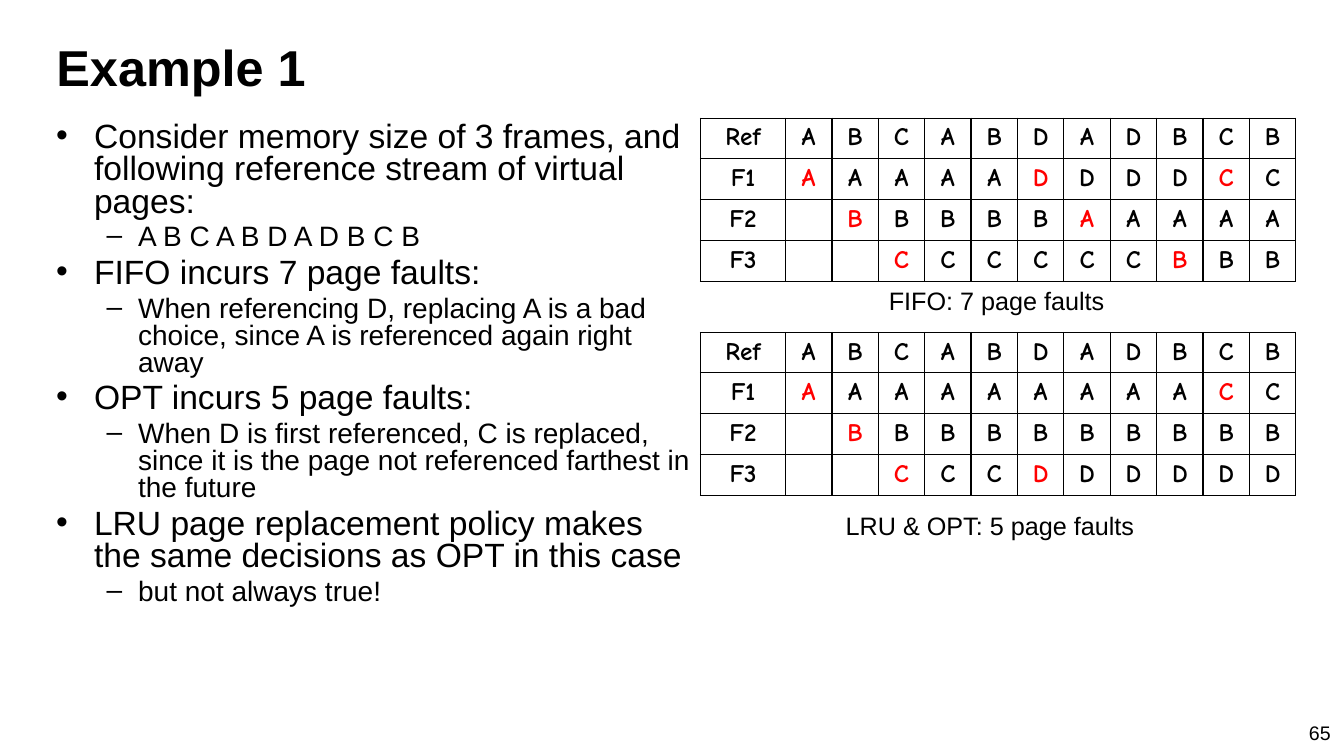
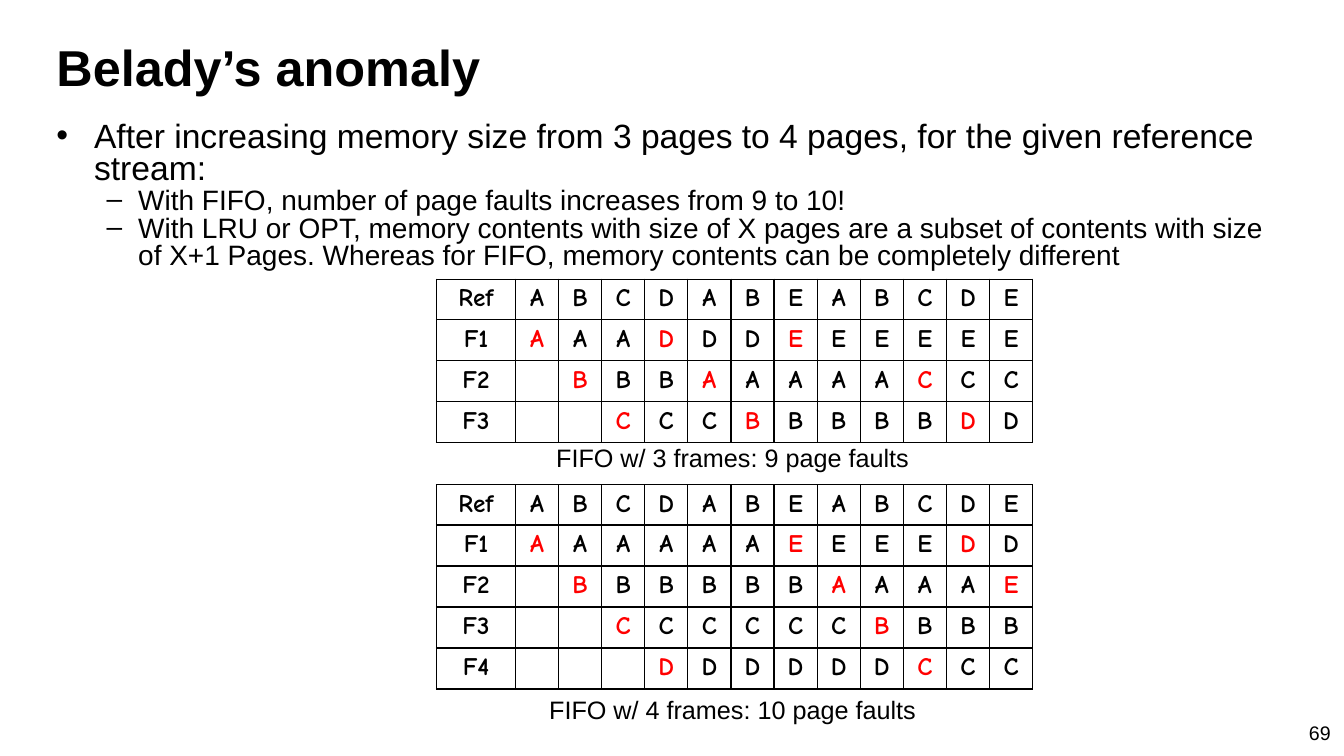
from dataclasses import dataclass

from pptx import Presentation
from pptx.dml.color import RGBColor
from pptx.enum.text import MSO_ANCHOR, PP_ALIGN
from pptx.oxml.ns import qn
from pptx.util import Pt
from lxml.etree import SubElement


@dataclass(frozen=True)
class Theme:
    ink: str = "000000"
    fault: str = "FF0000"
    face: str = "Arial"
    hand: str = "Comic Neue"
    title: int = 36
    body: tuple = (24, 20)
    note: int = 18
    page: int = 14
    marks: tuple = ("•", "–")
    margins: tuple = (27, 58.5)
    hangs: tuple = (-27, -22.5)
    left: float = 33.1
    width: float = 893


class Deck:
    def __init__(self, theme):
        self.theme = theme
        self.prs = Presentation()
        self.prs.slide_width, self.prs.slide_height = Pt(960), Pt(540)

    def style(self, para, size, face=None, color=None, bold=False):
        font = para.font
        font.name = face or self.theme.face
        font.size, font.bold = Pt(size), bold
        font.color.rgb = RGBColor.from_string(color or self.theme.ink)

    def slide(self, title, page):
        look = self.theme
        self.now = self.prs.slides.add_slide(self.prs.slide_layouts[5])
        head = self.now.shapes.title
        head.left, head.top = Pt(look.left), Pt(21.6)
        head.width, head.height = Pt(look.width), Pt(51)
        frame = head.text_frame
        frame.text = title
        frame.vertical_anchor = MSO_ANCHOR.BOTTOM
        para = frame.paragraphs[0]
        para.alignment = PP_ALIGN.LEFT
        self.style(para, look.title, bold=True)
        self.note(str(page), 913, 511.2, 44.6, look.page, PP_ALIGN.RIGHT)

    def box(self, left, top, width, height):
        shape = self.now.shapes.add_textbox(Pt(left), Pt(top), Pt(width), Pt(height))
        shape.text_frame.word_wrap = True
        return shape.text_frame

    def note(self, text, left, top, width, size=None, align=PP_ALIGN.LEFT):
        para = self.box(left, top, width, 29).paragraphs[0]
        para.text = text
        para.alignment = align
        self.style(para, size or self.theme.note)

    def body(self, items, width, gap):
        look = self.theme
        frame = self.box(look.left, 84.2, width, 404.6)
        for index, (level, text) in enumerate(items):
            para = frame.add_paragraph() if index else frame.paragraphs[0]
            para.text = text
            para.level = level
            props = para._p.get_or_add_pPr()
            props.set("marL", str(Pt(look.margins[level])))
            props.set("indent", str(Pt(look.hangs[level])))
            SubElement(props, qn("a:buFont"), typeface=look.face)
            SubElement(props, qn("a:buChar"), char=look.marks[level])
            para.line_spacing = 0.8
            size = look.body[level]
            para.space_before = Pt(size * gap if index else 0)
            self.style(para, size)

    def border(self, cell):
        props = cell._tc.get_or_add_tcPr()
        for side in "LRTB":
            line = SubElement(props, qn(f"a:ln{side}"), w=str(Pt(1)))
            fill = SubElement(line, qn("a:solidFill"))
            SubElement(fill, qn("a:srgbClr"), val=self.theme.ink)

    def trace(self, refs, frames, left, top, first, step):
        look = self.theme
        rows = [["Ref", *refs]]
        rows += [[f"F{num}", *frame.rjust(len(refs))] for num, frame in enumerate(frames, 1)]
        wides = [first] + [step] * len(refs)
        highs = [28] + [29.3] * len(frames)
        grid = self.now.shapes.add_table(
            len(rows), len(wides), Pt(left), Pt(top), Pt(sum(wides)), Pt(sum(highs))
        ).table
        grid.first_row = grid.horz_banding = False
        for col, wide in zip(grid.columns, wides):
            col.width = Pt(wide)
        for row, high in zip(grid.rows, highs):
            row.height = Pt(high)
        for r, row in enumerate(rows):
            for c, text in enumerate(row):
                cell = grid.cell(r, c)
                self.border(cell)
                cell.fill.background()
                cell.text = text.strip()
                para = cell.text_frame.paragraphs[0]
                para.alignment = PP_ALIGN.CENTER
                fault = r and c and text != row[c - 1]
                color = look.fault if fault else look.ink
                self.style(para, look.note, look.hand, color, True)


def main():
    deck = Deck(Theme())

    deck.slide("Example 1", 65)
    deck.body([
        (0, "Consider memory size of 3 frames, and following reference stream of virtual pages:"),
        (1, "A B C A B D A D B C B"),
        (0, "FIFO incurs 7 page faults:"),
        (1, "When referencing D, replacing A is a bad choice, since A is referenced again right away"),
        (0, "OPT incurs 5 page faults:"),
        (1, "When D is first referenced, C is replaced, since it is the page not referenced "
            "farthest in the future"),
        (0, "LRU page replacement policy makes the same decisions as OPT in this case"),
        (1, "but not always true!"),
    ], 467.6, 0.2)
    refs = "ABCABDADBCB"
    spot = dict(left=500.4, first=60.7, step=33.15)
    deck.trace(refs, ["AAAAADDDDCC", "BBBBBAAAAA", "CCCCCCBBB"], top=84.4, **spot)
    deck.trace(refs, ["AAAAAAAAACC", "BBBBBBBBBB", "CCCDDDDDD"], top=237.4, **spot)
    deck.note("FIFO: 7 page faults", 627.8, 200.2, 180)
    deck.note("LRU & OPT: 5 page faults", 597, 360.9, 232)

    deck.slide("Belady’s anomaly", 69)
    deck.body([
        (0, "After increasing memory size from 3 pages to 4 pages, for the given reference stream:"),
        (1, "With FIFO, number of page faults increases from 9 to 10!"),
        (1, "With LRU or OPT, memory contents with size of X pages are a subset of contents "
            "with size of X+1 Pages. Whereas for FIFO, memory contents can be completely different"),
    ], deck.theme.width, 0.05)
    refs = "ABCDABEABCDE"
    spot = dict(left=311.8, first=56.4, step=30.8)
    deck.trace(refs, ["AAADDDEEEEEE", "BBBAAAAACCC", "CCCBBBBBDD"], top=199.4, **spot)
    deck.trace(
        refs, ["AAAAAAEEEEDD", "BBBBBBAAAAE", "CCCCCCBBBB", "DDDDDDCCC"], top=346.2, **spot
    )
    deck.note("FIFO w/ 3 frames: 9 page faults", 390.2, 312.5, 275)
    deck.note("FIFO w/ 4 frames: 10 page faults", 385.2, 492.5, 285)

    deck.prs.save("out.pptx")


if __name__ == "__main__":
    main()
